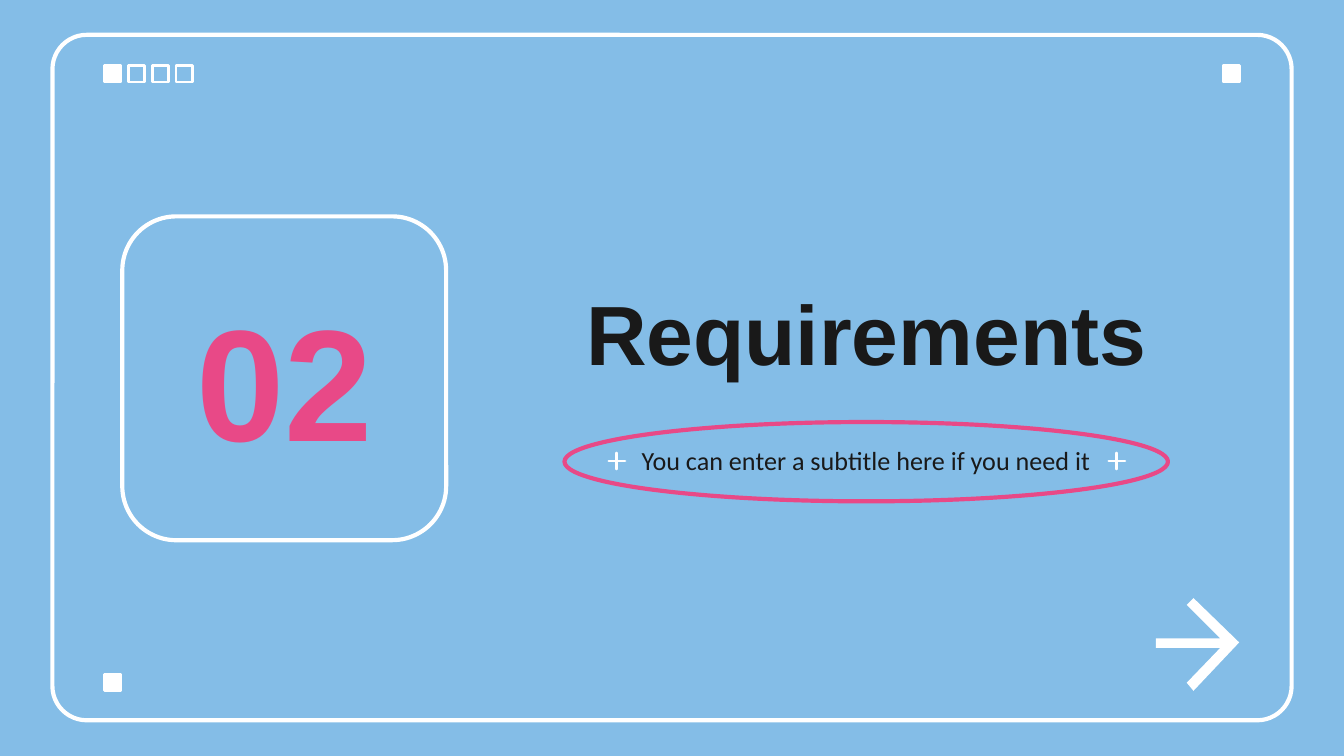
from pptx import Presentation
from pptx.dml.color import RGBColor
from pptx.enum.shapes import MSO_SHAPE
from pptx.enum.text import MSO_ANCHOR, PP_ALIGN
from pptx.util import Inches, Pt

RECTANGLE = MSO_SHAPE.RECTANGLE
ROUNDED = MSO_SHAPE.ROUNDED_RECTANGLE
OVAL = MSO_SHAPE.OVAL
STAR = MSO_SHAPE.STAR_4_POINT
CENTER = PP_ALIGN.CENTER
MIDDLE = MSO_ANCHOR.MIDDLE

COLORS = {
    "background": "84BDE7",
    "white": "FFFFFF",
    "pink": "E84987",
    "ink": "191919",
}
MARK_SIZE = 0.12
MARK_COUNT = 4
FIRST_MARK, LAST_MARK = 0.78, 1.31
ARROW_POINTS = [
    (8.88, 4.45), (8.83, 4.5), (9.08, 4.75), (8.6, 4.75), (8.6, 4.82),
    (9.08, 4.82), (8.83, 5.08), (8.88, 5.14), (9.22, 4.78),
]


def color(name):
    return RGBColor.from_string(COLORS[name])


def fill_shape(shape, name):
    shape.fill.solid()
    shape.fill.fore_color.rgb = color(name)


def add_outline(slide, kind, box, line="white", width=2.25, adjustment=None):
    """Add an unfilled preset shape."""
    shape = slide.shapes.add_shape(kind, *map(Inches, box))
    shape.shadow.inherit = False
    shape.fill.background()
    shape.line.color.rgb = color(line)
    shape.line.width = Pt(width)
    if adjustment is not None:
        shape.adjustments[0] = adjustment
    return shape


def add_mark(slide, kind, left, top, filled=True, adjustment=None):
    """Add one of the small white decorations."""
    box = (left, top, MARK_SIZE, MARK_SIZE)
    shape = add_outline(slide, kind, box, width=1.5, adjustment=adjustment)
    if filled:
        fill_shape(shape, "white")


def add_label(slide, text, box, size, font_name, font_color, bold=False, side_inset=0.1):
    text_box = slide.shapes.add_textbox(*map(Inches, box))
    frame = text_box.text_frame
    frame.word_wrap = True
    frame.vertical_anchor = MIDDLE
    frame.margin_left = frame.margin_right = Inches(side_inset)
    frame.margin_top = frame.margin_bottom = Inches(0.1)
    frame.text = text
    paragraph = frame.paragraphs[0]
    paragraph.alignment = CENTER
    font = paragraph.runs[0].font
    font.name = font_name
    font.size = Pt(size)
    font.bold = bold
    font.color.rgb = color(font_color)


def add_arrow(slide):
    points = [(Inches(x), Inches(y)) for x, y in ARROW_POINTS]
    builder = slide.shapes.build_freeform(*points[0])
    builder.add_line_segments(points[1:], close=True)
    arrow = builder.convert_to_shape()
    arrow.shadow.inherit = False
    fill_shape(arrow, "white")
    arrow.line.fill.background()


def main():
    presentation = Presentation()
    presentation.slide_width = Inches(10)
    presentation.slide_height = Inches(10 * 9 / 16)
    slide = presentation.slides.add_slide(presentation.slide_layouts[6])
    slide.background.fill.solid()
    slide.background.fill.fore_color.rgb = color("background")

    add_outline(slide, ROUNDED, (0.39, 0.26, 9.22, 5.1), adjustment=0.05)
    step = (LAST_MARK - FIRST_MARK) / (MARK_COUNT - 1)
    for index in range(MARK_COUNT):
        add_mark(slide, RECTANGLE, FIRST_MARK + index * step, 0.49, filled=index == 0)

    add_outline(slide, OVAL, (4.2, 3.14, 4.49, 0.59), line="pink")
    add_outline(slide, ROUNDED, (0.91, 1.61, 2.41, 2.41), adjustment=1 / 6)

    add_label(slide, "Requirements", (3.81, 1.92, 5.27, 1.1), 45, "Arial", "ink", bold=True)
    add_label(slide, "02", (0.91, 1.87, 2.41, 1.89), 85, "Arial", "pink",
              bold=True, side_inset=0)
    add_label(slide, "You can enter a subtitle here if you need it",
              (4.52, 3.2, 3.85, 0.45), 14, "Calibri", "ink")

    add_arrow(slide)
    for left, top in ((0.78, 5.02), (9.1, 0.49)):
        add_mark(slide, RECTANGLE, left, top)
    for left in (4.53, 8.25):
        add_mark(slide, STAR, left, 3.37, adjustment=0)

    presentation.save("out.pptx")


if __name__ == "__main__":
    main()
